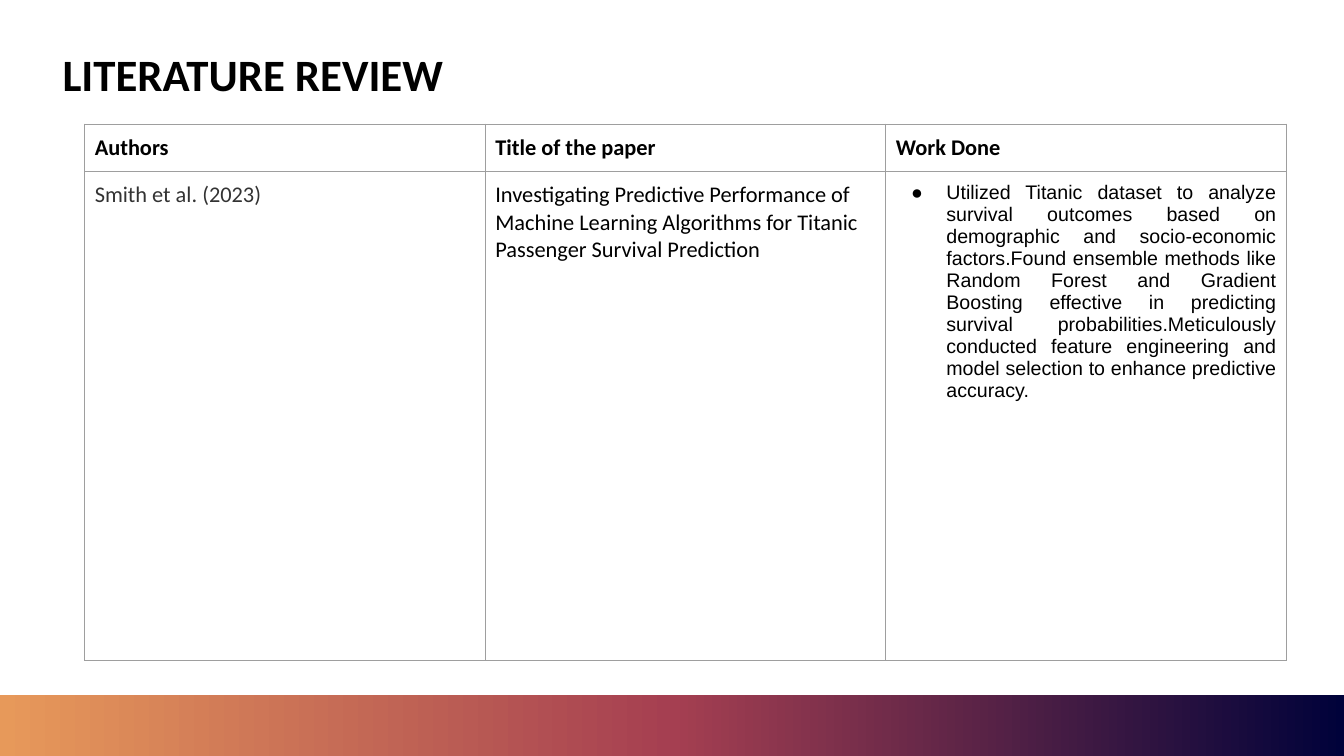
from lxml import etree
from pptx import Presentation
from pptx.dml.color import RGBColor
from pptx.enum.shapes import MSO_SHAPE as SHAPE
from pptx.enum.text import MSO_ANCHOR as ANCHOR, PP_ALIGN as ALIGN
from pptx.oxml.ns import qn
from pptx.util import Inches, Pt

BLACK, GREY, BORDER = "000000", "333333", "9E9E9E"
BAR_STOPS = [(0, "00023A"), (50, "A53F51"), (100, "E7995A")]
HEADERS = ["Authors", "Title of the paper", "Work Done"]
AUTHORS = "Smith et al. (2023)"
PAPER = ("Investigating Predictive Performance of Machine Learning Algorithms "
         "for Titanic Passenger Survival Prediction")
WORK = ("Utilized Titanic dataset to analyze survival outcomes based on "
        "demographic and socio-economic factors.Found ensemble methods like "
        "Random Forest and Gradient Boosting effective in predicting survival "
        "probabilities.Meticulously conducted feature engineering and model "
        "selection to enhance predictive accuracy.")


def rgb(color):
    return RGBColor.from_string(color)


def add_xml(parent, tag, **attrs):
    return etree.SubElement(parent, qn(tag), attrs)


def add_run(p, text, size, color=BLACK, bold=False, font="Calibri"):
    r = p.add_run()
    r.text = text
    r.font.name, r.font.size, r.font.bold = font, Pt(size), bold
    r.font.color.rgb = rgb(color)


def add_gradient_bar(s, x, y, w, h):
    sp = s.shapes.add_shape(SHAPE.RECTANGLE, Inches(x), Inches(y), Inches(w), Inches(h))
    sp.shadow.inherit = False
    sp.line.fill.background()
    sp.fill.gradient()
    sp.fill.gradient_angle = 180
    stops = sp._element.spPr.find(qn("a:gradFill")).find(qn("a:gsLst"))
    for stop in list(stops):
        stops.remove(stop)
    for percent, color in BAR_STOPS:
        stop = add_xml(stops, "a:gs", pos=str(percent * 1000))
        add_xml(stop, "a:srgbClr", val=color)


def set_title(s, x, y, w, h):
    title = s.shapes.title
    title.left, title.top, title.width, title.height = map(Inches, (x, y, w, h))
    tf = title.text_frame
    tf.word_wrap = True
    tf.vertical_anchor = ANCHOR.MIDDLE
    p = tf.paragraphs[0]
    p.alignment = ALIGN.LEFT
    p.line_spacing = 0.9
    add_run(p, "LITERATURE REVIEW", 32, bold=True)


def format_cell(cell):
    """Give a cell even margins, thin grey borders and no fill."""
    cell.margin_left = cell.margin_right = Inches(0.1)
    cell.margin_top = cell.margin_bottom = Inches(0.1)
    tcPr = cell._tc.get_or_add_tcPr()
    for side in "LRTB":
        ln = add_xml(tcPr, f"a:ln{side}", w=str(Pt(0.75)))
        add_xml(add_xml(ln, "a:solidFill"), "a:srgbClr", val=BORDER)
    cell.fill.background()


def set_bullet(p):
    p.alignment = ALIGN.JUSTIFY
    pPr = p._p.get_or_add_pPr()
    pPr.set("marL", str(Inches(0.5)))
    pPr.set("indent", str(Inches(-0.35)))
    add_xml(add_xml(pPr, "a:buClr"), "a:srgbClr", val=BLACK)
    add_xml(pPr, "a:buFont", typeface="Arial")
    add_xml(pPr, "a:buChar", char="●")


def add_review_table(s, x, y, w, h, header_h=0.47):
    table = s.shapes.add_table(2, len(HEADERS), Inches(x), Inches(y),
                               Inches(w), Inches(h)).table
    table.first_row = table.horz_banding = False
    table.rows[0].height = Inches(header_h)
    table.rows[1].height = Inches(h - header_h)
    for cell in table.iter_cells():
        format_cell(cell)
    for col, header in enumerate(HEADERS):
        add_run(table.cell(0, col).text_frame.paragraphs[0], header, 16, bold=True)
    authors, paper, work = (table.cell(1, col).text_frame.paragraphs[0]
                            for col in range(len(HEADERS)))
    add_run(authors, AUTHORS, 16, GREY)
    add_run(paper, PAPER, 16)
    set_bullet(work)
    add_run(work, WORK, 14, font="Arial")


def main():
    prs = Presentation()
    prs.slide_width, prs.slide_height = Inches(13.33), Inches(7.5)
    s = prs.slides.add_slide(prs.slide_layouts.get_by_name("Title Only"))
    add_gradient_bar(s, 0, 6.89, 13.33, 0.61)
    add_review_table(s, 0.84, 1.23, 11.92, 5.32)
    set_title(s, 0.52, 0.29, 11.5, 0.94)
    prs.save("out.pptx")


if __name__ == "__main__":
    main()
